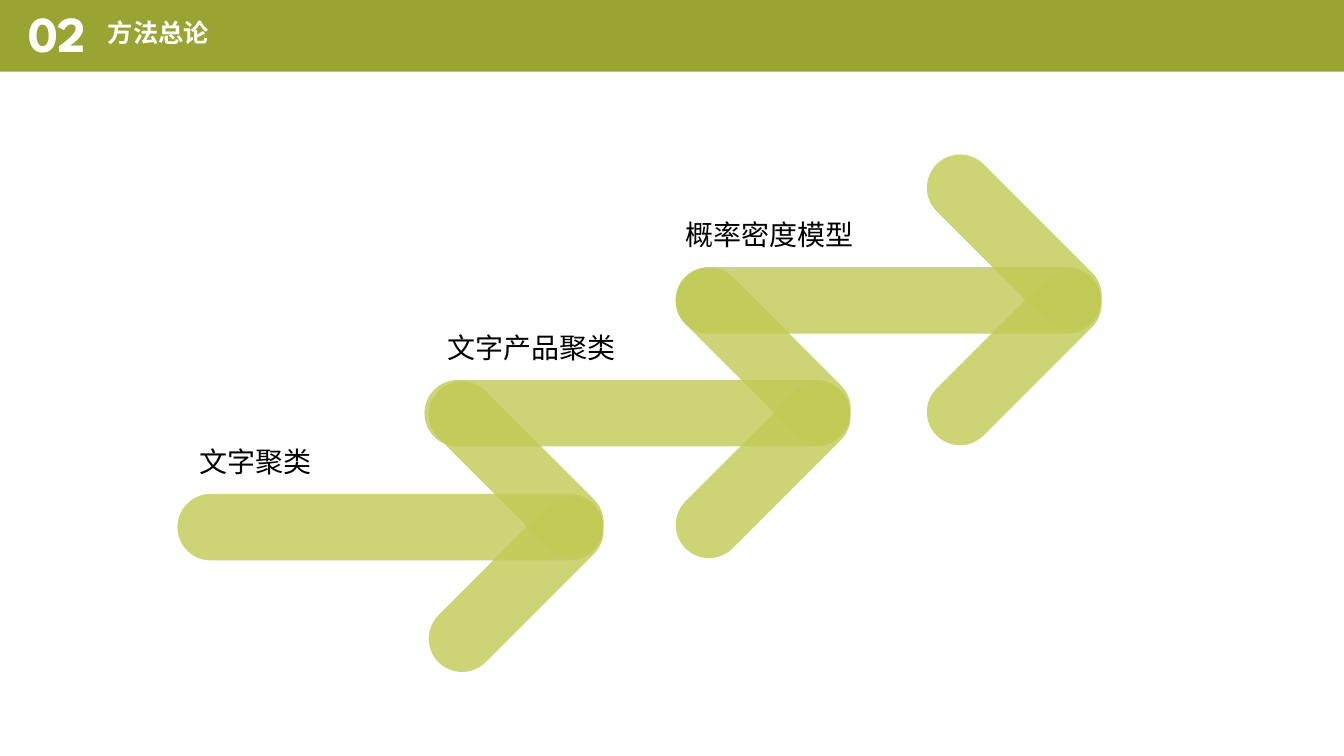
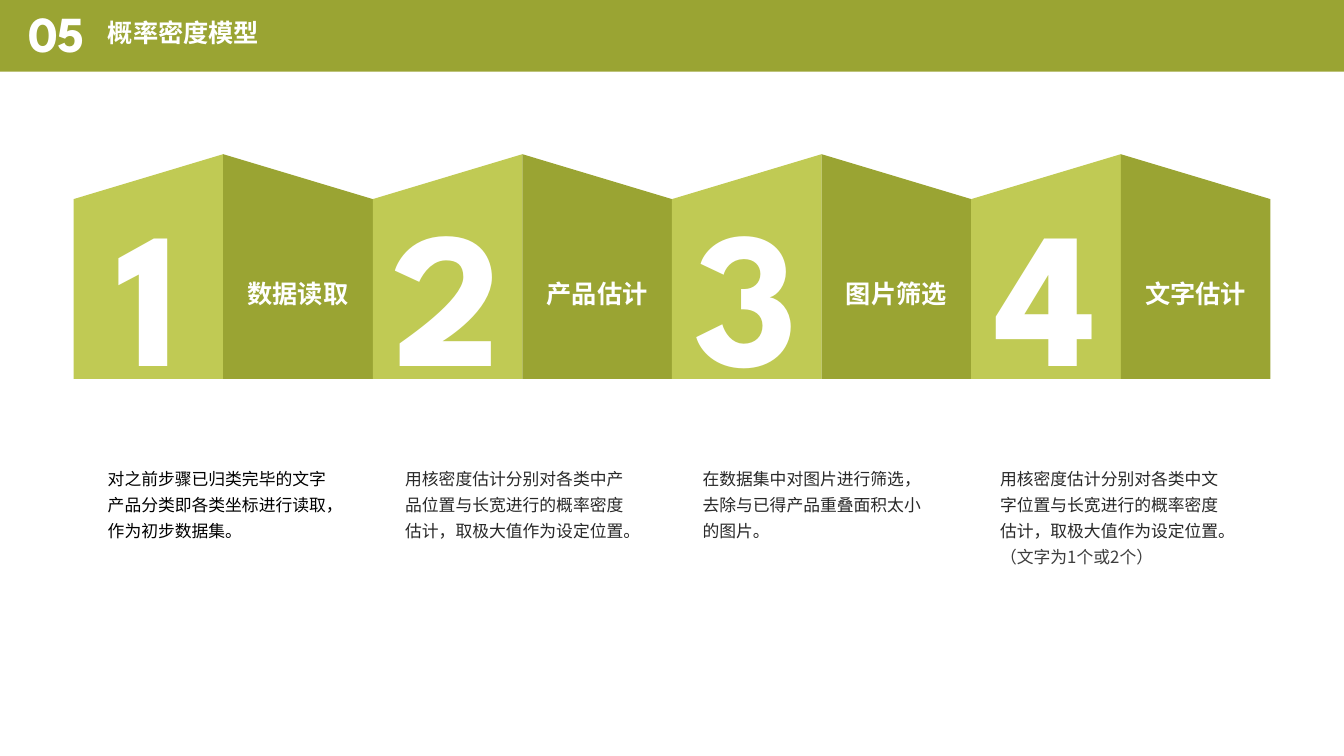
from dataclasses import dataclass

import pptx
import pptx.dml.color
import pptx.enum.shapes
import pptx.enum.text
import pptx.oxml
import pptx.oxml.ns
import pptx.util
from lxml import etree

Inches = pptx.util.Inches
Shape = pptx.enum.shapes.MSO_SHAPE
Align = pptx.enum.text.PP_ALIGN
Anchor = pptx.enum.text.MSO_ANCHOR
qn = pptx.oxml.ns.qn


@dataclass(frozen=True)
class Theme:
    dark_green: str = "9AA433"
    light_green: str = "C0CA54"
    white: str = "FFFFFF"
    black: str = "000000"
    charcoal: str = "282828"
    gray: str = "3D3D3D"
    latin_font: str = "League Spartan"
    chinese_font: str = "Noto Sans CJK SC"
    body_size: int = 12
    title_size: int = 18
    label_size: int = 20
    section_size: int = 36
    digit_size: int = 138


class Deck:
    """Holds the presentation, its style and the current slide."""

    def __init__(self, theme):
        self.theme = theme
        self.presentation = pptx.Presentation()
        self.presentation.slide_width = Inches(13.33)
        self.presentation.slide_height = Inches(7.5)
        self.layout = self.presentation.slide_layouts.get_by_name("Title Only")
        self.slide = None

        # Title position is shared through the layout
        title = self.layout.placeholders[0]
        title.left, title.top = Inches(0.97), Inches(0.16)
        title.width, title.height = Inches(4.18), Inches(0.4)

    def start_slide(self, number, title):
        is_first = len(self.presentation.slides) == 0
        self.slide = self.presentation.slides.add_slide(self.layout)
        if is_first:
            self.add_band_to_layout()

        frame = self.slide.shapes.title.text_frame
        frame.text = title
        frame.auto_size = pptx.enum.text.MSO_AUTO_SIZE.NONE
        frame.vertical_anchor = Anchor.TOP
        self.style(frame.paragraphs[0], self.theme.title_size, self.theme.white,
                   bold=True, spacing=0.9)
        section = self.text(0.18, 0.09, 0.79, 0.53, number,
                            self.theme.section_size, self.theme.white,
                            bold=True, spacing=0.9)
        section.text_frame.vertical_anchor = Anchor.MIDDLE

    def add_band_to_layout(self):
        band = self.shape(self.slide.shapes, Shape.RECTANGLE,
                          0, 0, 13.33, 0.71, self.theme.dark_green)
        self.layout.shapes.element.insert(2, band.element)

    def style(self, paragraph, size, color, font=None, bold=False,
              align=Align.LEFT, spacing=1.3):
        paragraph.alignment = align
        paragraph.line_spacing = spacing
        paragraph.font.size = pptx.util.Pt(size)
        paragraph.font.bold = bold
        paragraph.font.color.rgb = pptx.dml.color.RGBColor.from_string(color)
        paragraph.font.name = font or self.theme.latin_font
        # Chinese characters use the East Asian font slot
        properties = paragraph._p.pPr.find(qn("a:defRPr"))
        etree.SubElement(properties, qn("a:ea"), typeface=self.theme.chinese_font)

    def text(self, left, top, width, height, content, size, color, **style):
        box = self.slide.shapes.add_textbox(
            Inches(left), Inches(top), Inches(width), Inches(height))
        box.text_frame.word_wrap = True
        box.text_frame.text = content
        self.style(box.text_frame.paragraphs[0], size, color, **style)
        return box

    def shape(self, shapes, kind, left, top, width, height, color, opacity=100):
        shape = shapes.add_shape(
            kind, Inches(left), Inches(top), Inches(width), Inches(height))
        shape.shadow.inherit = False
        shape.fill.solid()
        shape.fill.fore_color.rgb = pptx.dml.color.RGBColor.from_string(color)
        shape.line.fill.background()
        if opacity < 100:
            fill_color = shape.element.spPr.find(
                qn("a:solidFill")).find(qn("a:srgbClr"))
            etree.SubElement(fill_color, qn("a:alpha"), val=str(opacity * 1000))
        return shape

    def arrow(self, left, top):
        """A shaft and two slanted head strokes, overlapping at the tip."""
        group = self.slide.shapes.add_group_shape()
        strokes = [(0, 0, 4.22, 0), (2.27, -0.58, 2.18, 45), (2.27, 0.57, 2.18, 315)]
        for offset_x, offset_y, length, rotation in strokes:
            stroke = self.shape(group.shapes, Shape.ROUNDED_RECTANGLE,
                                left + offset_x, top + offset_y, length, 0.66,
                                self.theme.light_green, opacity=80)
            stroke.adjustments[0] = 0.5
            stroke.rotation = rotation

    def panel(self, left, width, content, size, color, mirrored=False, **style):
        panel = self.shape(self.slide.shapes, Shape.FLOWCHART_MANUAL_INPUT,
                           left, 1.53, width, 2.23, color)
        if mirrored:
            panel.element.spPr.find(qn("a:xfrm")).set("flipH", "1")
        frame = panel.text_frame
        frame.text = content
        frame.vertical_anchor = Anchor.MIDDLE
        self.style(frame.paragraphs[0], size, self.theme.white, bold=True,
                   align=Align.CENTER, **style)


def build_overview(deck):
    theme = deck.theme
    deck.start_slide("02", "方法总论")

    # Rising arrows, each with a label above its shaft
    steps = [
        (1.76, 4.90, 1.88, "文字聚类"),
        (4.21, 3.77, 4.34, "文字产品聚类"),
        (6.70, 2.65, 6.70, "概率密度模型"),
    ]
    for left, top, label_left, label in steps:
        deck.arrow(left, top)
        deck.text(label_left, top - 0.64, 2.35, 0.53, label,
                  theme.label_size, theme.black)


def build_density_model(deck):
    theme = deck.theme
    deck.start_slide("05", "概率密度模型")

    stages = [
        ("数据读取", "对之前步骤已归类完毕的文字产品分类即各类坐标进行读取，作为初步数据集。"),
        ("产品估计", "用核密度估计分别对各类中产品位置与长宽进行的概率密度估计，取极大值作为设定位置。"),
        ("图片筛选", "在数据集中对图片进行筛选，去除与已得产品重叠面积太小的图片。"),
        ("文字估计", "用核密度估计分别对各类中文字位置与长宽进行的概率密度估计，取极大值作为设定位置。"),
    ]
    margin = 0.73
    panel_width = (13.33 - 2 * margin) / (2 * len(stages))

    # Folded panels: a digit on the left face, a name on the right face
    for index, (name, description) in enumerate(stages):
        left = margin + 2 * index * panel_width
        deck.panel(left, panel_width, str(index + 1), theme.digit_size,
                   theme.light_green, spacing=1.0)
        deck.panel(left + panel_width, panel_width, name, theme.title_size,
                   theme.dark_green, mirrored=True, font=theme.chinese_font)

        # Description below the panels
        is_first = index == 0
        box = deck.text(0.97 + 2.95 * index, 4.54, 2.52, 0.88, description,
                        theme.body_size,
                        theme.black if is_first else theme.charcoal,
                        font=theme.chinese_font if is_first else theme.latin_font)

    # Closing remark under the last description
    box.height = Inches(1.14)
    remark = box.text_frame.add_paragraph()
    remark.text = "（文字为1个或2个）"
    deck.style(remark, theme.body_size, theme.gray, font=theme.chinese_font)


def main():
    deck = Deck(Theme())
    build_overview(deck)
    build_density_model(deck)
    deck.presentation.save("out.pptx")


if __name__ == "__main__":
    main()
